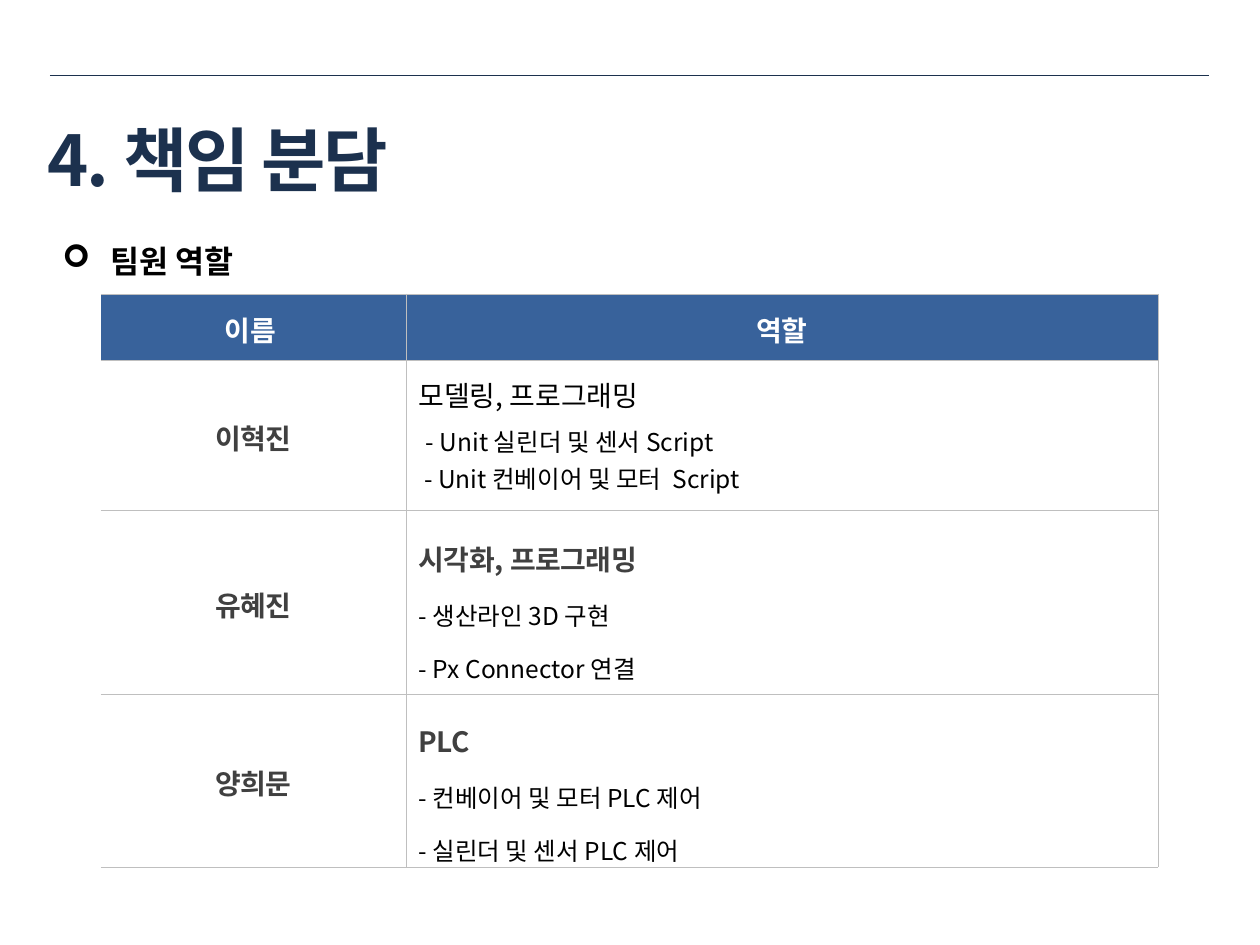
from lxml.etree import SubElement
from pptx import Presentation
from pptx.dml.color import RGBColor
from pptx.enum.shapes import MSO_CONNECTOR
from pptx.enum.text import MSO_ANCHOR, PP_ALIGN
from pptx.oxml.ns import qn
from pptx.util import Pt

SCALE = 914400 / 126
FONT = "Noto Sans CJK KR"
NAVY = RGBColor(0x1C, 0x31, 0x4E)
BLUE = RGBColor(0x38, 0x62, 0x9B)
GRAY = RGBColor(0x40, 0x40, 0x40)
BORDER = RGBColor(0xBF, 0xBF, 0xBF)
BLACK = RGBColor(0, 0, 0)
WHITE = RGBColor(255, 255, 255)

COLUMNS = [305, 752]
ROWS = [66, 150, 184, 173]
HEADERS = ["이름 ", "역할"]
MEMBERS = [
    ("이혁진", "모델링, 프로그래밍", ["- Unit 실린더 및 센서 Script", " - Unit 컨베이어 및 모터  Script"]),
    ("유혜진", "시각화, 프로그래밍", ["- 생산라인 3D 구현", "- Px Connector 연결"]),
    ("양희문", "PLC", ["- 컨베이어 및 모터 PLC 제어", "- 실린더 및 센서 PLC 제어"]),
]


def px(value):
    """Turn pixels into EMU."""
    return round(value * SCALE)


def add_run(paragraph, text, size=14, color=BLACK, bold=False, tracking=0):
    """Add a formatted run to a paragraph."""
    run = paragraph.add_run()
    run.text = text
    run.font.size = Pt(size)
    run.font.bold = bold
    run.font.color.rgb = color
    run.font.name = FONT
    properties = run.font._element
    SubElement(properties, qn("a:ea"), typeface=FONT)
    if tracking:
        properties.set("spc", str(round(tracking * 100)))


def write(frame, text, align=PP_ALIGN.LEFT, spacing=1.0, first=True, **style):
    """Write one paragraph into a text frame and return it."""
    paragraph = frame.paragraphs[0] if first else frame.add_paragraph()
    paragraph.alignment = align
    paragraph.line_spacing = spacing
    add_run(paragraph, text, **style)
    return paragraph


def add_textbox(slide, left, top, width, height, anchor=MSO_ANCHOR.TOP):
    """Add a wrapping text box and return its frame."""
    frame = slide.shapes.add_textbox(px(left), px(top), px(width), px(height)).text_frame
    frame.word_wrap = True
    frame.vertical_anchor = anchor
    return frame


def add_rule(slide, left, right, top):
    """Add the thin line above the title."""
    rule = slide.shapes.add_connector(MSO_CONNECTOR.STRAIGHT, px(left), px(top), px(right), px(top))
    rule.line.color.rgb = NAVY
    rule.line.width = Pt(0.25)
    SubElement(rule._element.spPr, qn("a:effectLst"))


def add_bullet(paragraph, symbol, indent):
    """Give a paragraph a hanging bullet."""
    properties = paragraph._p.get_or_add_pPr()
    properties.set("marL", str(px(indent)))
    properties.set("indent", str(-px(indent)))
    SubElement(properties, qn("a:buFont"), typeface="Wingdings")
    SubElement(properties, qn("a:buChar"), char=symbol)


def style_cell(cell, open_left, fill=None):
    """Set the borders, fill and anchor of a cell."""
    properties = cell._tc.get_or_add_tcPr()
    for side in ("lnL", "lnR", "lnT", "lnB"):
        line = SubElement(properties, qn(f"a:{side}"), w=str(Pt(0.5)))
        if side == "lnL" and open_left:
            SubElement(line, qn("a:noFill"))
        else:
            solid = SubElement(line, qn("a:solidFill"))
            SubElement(solid, qn("a:srgbClr"), val=str(BORDER))
    if fill is None:
        cell.fill.background()
    else:
        cell.fill.solid()
        cell.fill.fore_color.rgb = fill
    cell.vertical_anchor = MSO_ANCHOR.MIDDLE


def write_duties(frame, heading, duties, lead):
    """Write a heading and its duties; the lead member has a plain, tight layout."""
    spacing = 1.0 if lead else 1.5
    heading_style = {} if lead else {"color": GRAY, "bold": True, "tracking": -0.2}
    write(frame, heading, spacing=spacing, size=16, **heading_style)
    for index, duty in enumerate(duties):
        if lead and index == 0:
            paragraph = write(frame, " ", first=False, size=18)
            add_run(paragraph, duty)
        else:
            write(frame, duty, spacing=spacing, first=False)


def add_role_table(slide, left, top):
    """Add the table of members and roles."""
    table = slide.shapes.add_table(
        len(ROWS), len(COLUMNS), px(left), px(top), px(sum(COLUMNS)), px(sum(ROWS))
    ).table
    table.first_row = table.horz_banding = False
    for column, width in zip(table.columns, COLUMNS):
        column.width = px(width)
    for row, height in zip(table.rows, ROWS):
        row.height = px(height)
    label = {"align": PP_ALIGN.CENTER, "spacing": 1.1, "size": 16, "bold": True, "tracking": -0.2}
    for index, header in enumerate(HEADERS):
        cell = table.cell(0, index)
        style_cell(cell, index == 0, BLUE)
        write(cell.text_frame, header, color=WHITE, **label)
    for index, (name, heading, duties) in enumerate(MEMBERS, 1):
        name_cell, role_cell = table.cell(index, 0), table.cell(index, 1)
        style_cell(name_cell, True)
        style_cell(role_cell, False)
        write(name_cell.text_frame, name, color=GRAY, **label)
        write_duties(role_cell.text_frame, heading, duties, lead=index == 1)


def main():
    """Build the slide and save it."""
    presentation = Presentation()
    presentation.slide_width, presentation.slide_height = px(1260), px(945)
    slide = presentation.slides.add_slide(presentation.slide_layouts[6])
    add_rule(slide, 50, 1209, 75)
    title = add_textbox(slide, 35, 97, 964, 81, MSO_ANCHOR.MIDDLE)
    write(title, "4. 책임 분담", spacing=1.5, size=40, color=NAVY, bold=True, tracking=-1.2)
    body = add_textbox(slide, 50, 209, 1167, 698)
    add_bullet(write(body, "팀원 역할", spacing=1.7, size=18, bold=True), "➢", 48)
    add_role_table(slide, 101, 294)
    presentation.save("out.pptx")


if __name__ == "__main__":
    main()
